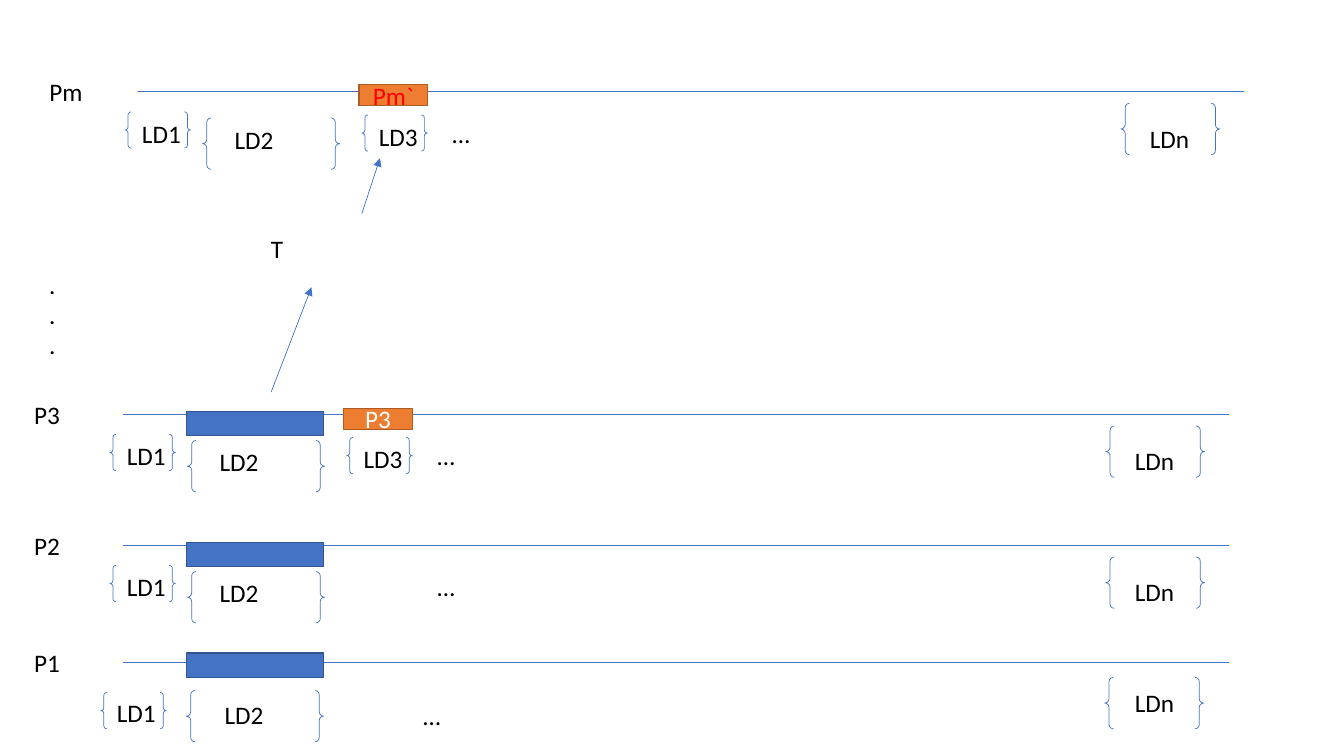
import pptx
import pptx.dml.color
import pptx.enum.shapes
import pptx.enum.text
import pptx.oxml
import pptx.oxml.ns
import pptx.util

RGB = pptx.dml.color.RGBColor
KIND = pptx.enum.shapes.MSO_SHAPE
BLUE = RGB(0x44, 0x72, 0xC4)
NAVY = RGB(0x32, 0x54, 0x91)
ORANGE = RGB(0xED, 0x7D, 0x31)
RUST = RGB(0xAF, 0x5C, 0x24)
BLACK = RGB(0, 0, 0)
WHITE = RGB(255, 255, 255)
RED = RGB(255, 0, 0)

CELL = pptx.util.Inches(0.1)  # grid step, both ways
WIDE, HIGH = 133.33, 75
LABEL = 4.0  # rows taken by one line of text

# brace size and label width, in cells, and whether the label wraps
SIZES = {
    "LD1": (6.5, 3.6, 5.9, False),
    "LD2": (13.6, 5.1, 12.4, True),
    "LD3": (6.5, 3.6, 6.0, True),
    "LDn": (9.8, 5.1, 6.0, False),
}
# brace column and row, then label column and row, from the track's start
UPPER = {
    "LD1": (10.9, 2.0, 11.6, 2.1),
    "LD2": (18.6, 2.6, 20.8, 2.7),
    "LDn": (109.7, 1.15, 111.6, 2.6),
    "…": (42.4, 2.1),
}
LOWER = {
    "LD1": (10.0, 3.0, 10.6, 3.0),
    "LD2": (18.5, 2.8, 21.3, 3.2),
    "LDn": (109.6, 1.5, 111.6, 2.0),
    "…": (41.0, 3.3),
}
THIRD = {"LD3": (34.4, 2.3, 35.1, 2.4)}


def cells(*counts):
    """Turn counts of cells into lengths."""
    return [round(count * CELL) for count in counts]


def style(frame, color):
    """Set the font of all runs in a frame."""
    for para in frame.paragraphs:
        for run in para.runs:
            run.font.name = "Calibri"
            run.font.size = pptx.util.Pt(18)
            run.font.color.rgb = color


def label(slide, words, x, y, w, h=LABEL, wrap=True):
    """Add a plain black label."""
    frame = slide.shapes.add_textbox(*cells(x, y, w, h)).text_frame
    frame.text = words
    frame.word_wrap = wrap
    frame.auto_size = pptx.enum.text.MSO_AUTO_SIZE.SHAPE_TO_FIT_TEXT
    style(frame, BLACK)


def line(slide, x1, y1, x2, y2, arrow=False):
    """Add a thin blue line, with an arrowhead at its end if asked."""
    link = slide.shapes.add_connector(
        pptx.enum.shapes.MSO_CONNECTOR.STRAIGHT, *cells(x1, y1, x2, y2))
    link.line.color.rgb = BLUE
    link.line.width = pptx.util.Pt(0.5)
    if arrow:
        tail = pptx.oxml.parse_xml(
            "<a:tailEnd %s type='triangle'/>" % pptx.oxml.ns.nsdecls("a"))
        link.line._get_or_add_ln().append(tail)
    link._element.spPr.append(pptx.oxml.parse_xml(
        "<a:effectLst %s/>" % pptx.oxml.ns.nsdecls("a")))


def brace(slide, x, y, w, h):
    """Add an open pair of braces."""
    pair = slide.shapes.add_shape(KIND.DOUBLE_BRACE, *cells(x, y, w, h))
    pair.shadow.inherit = False
    pair.fill.background()
    pair.line.color.rgb = BLUE
    pair.line.width = pptx.util.Pt(0.5)


def block(slide, x, y, w, h, fill, edge, words="", color=WHITE):
    """Add a filled block that lies on a track."""
    box = slide.shapes.add_shape(KIND.RECTANGLE, *cells(x, y, w, h))
    box.shadow.inherit = False
    box.fill.solid()
    box.fill.fore_color.rgb = fill
    box.line.color.rgb = edge
    box.line.width = pptx.util.Pt(1)
    if words:
        frame = box.text_frame
        frame.text = words
        frame.vertical_anchor = pptx.enum.text.MSO_ANCHOR.MIDDLE
        frame.paragraphs[0].alignment = pptx.enum.text.PP_ALIGN.CENTER
        style(frame, color)


def track(slide, name, x, y, parts):
    """Add a named track with the parts below it."""
    line(slide, x + 12.2, y, x + 121.9, y)
    label(slide, name, x + 2.4, y - 2, 5.8)
    for words, spot in parts.items():
        if words in SIZES:
            w, h, span, wrap = SIZES[words]
            brace(slide, x + spot[0], y + spot[1], w, h)
            label(slide, words, x + spot[2], y + spot[3], span, wrap=wrap)
        else:
            label(slide, words, x + spot[0], y + spot[1], 4.8)


def main():
    """Build the slide and save it."""
    deck = pptx.Presentation()
    deck.slide_width, deck.slide_height = cells(WIDE, HIGH)
    slide = deck.slides.add_slide(deck.slide_layouts[6])

    full = {**UPPER, **THIRD}
    tracks = [
        ("P1", 0, 65.7, LOWER),
        ("P2", 0, 54.1, UPPER),
        ("P3", 0, 41.1, full),
        ("Pm", 1.5, 9.1, full),
    ]
    for name, x, y, parts in tracks:
        track(slide, name, x, y, parts)
    for top in (64.8, 53.8, 40.8):
        block(slide, 18.5, top, 13.6, 2.4, BLUE, NAVY)
    block(slide, 34.1, 40.5, 6.8, 2.1, ORANGE, RUST, "P3")
    block(slide, 35.6, 8.4, 6.8, 2.1, ORANGE, RUST, "Pm`", RED)

    label(slide, ".\n.\n.", 3.9, 26.2, 4.4, 10.1)
    label(slide, "T", 25.9, 22.7, 12.4)
    line(slide, 26.9, 38.9, 30.9, 28.5, arrow=True)
    line(slide, 35.9, 21.2, 37.7, 15.7, arrow=True)
    deck.save("out.pptx")


main()
